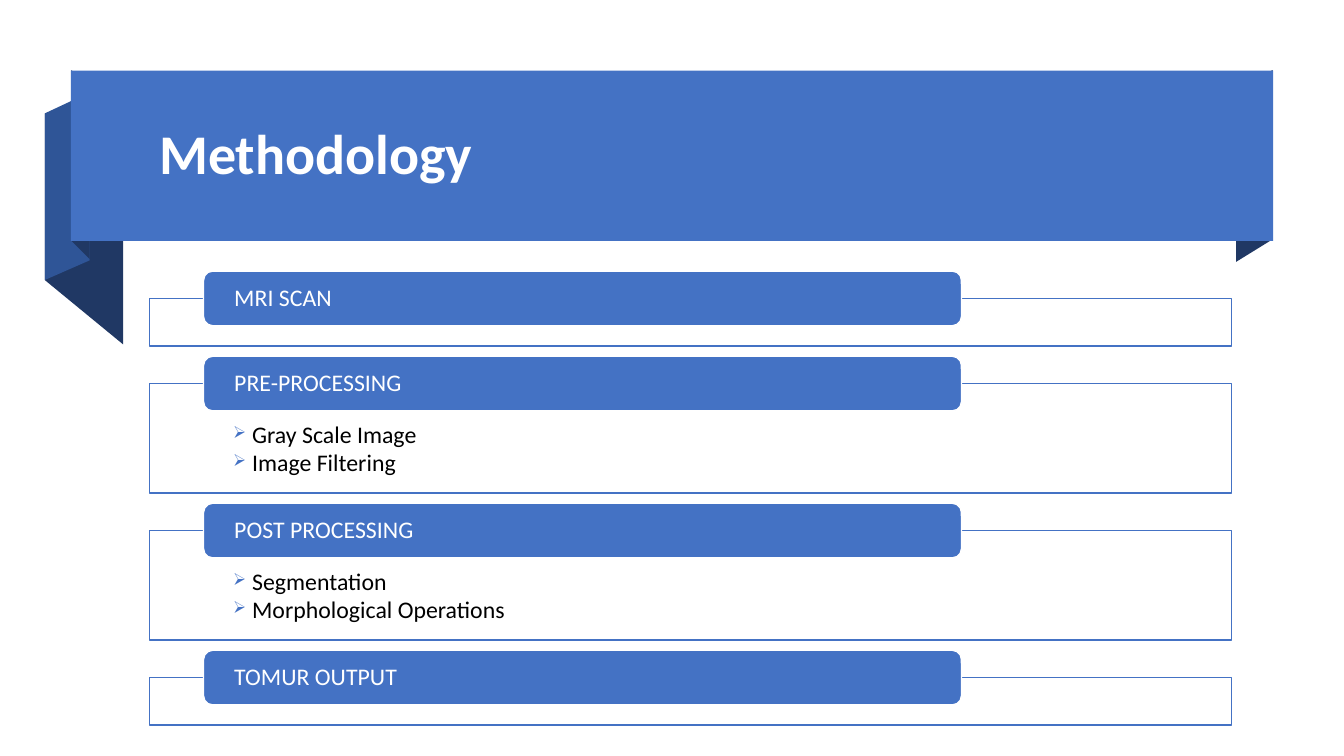
from lxml import etree
from pptx import Presentation
from pptx.dml.color import RGBColor
from pptx.enum.shapes import MSO_SHAPE
from pptx.enum.text import MSO_ANCHOR, PP_ALIGN
from pptx.oxml.ns import qn
from pptx.util import Pt

RECT, ROUNDED = MSO_SHAPE.RECTANGLE, MSO_SHAPE.ROUNDED_RECTANGLE
TOP, MIDDLE, LEFT = MSO_ANCHOR.TOP, MSO_ANCHOR.MIDDLE, PP_ALIGN.LEFT

BLUE = RGBColor(0x44, 0x72, 0xC4)
MID_BLUE = RGBColor(0x2F, 0x55, 0x97)
NAVY = RGBColor(0x20, 0x38, 0x64)
WHITE = RGBColor(0xFF, 0xFF, 0xFF)
BLACK = RGBColor(0, 0, 0)
FONT = "Calibri"

# Content
TITLE = "Methodology"
STEPS = [
    ("MRI SCAN", []),
    ("PRE-PROCESSING", ["Gray Scale Image", "Image Filtering"]),
    ("POST PROCESSING", ["Segmentation", "Morphological Operations"]),
    ("TOMUR OUTPUT", []),
]

# Ribbon folds: left x, left top, left bottom, right x, right top, right bottom
FOLDS = [
    (883.4, 65.5, 187.2, 909.4, 50.4, 171.4, NAVY),
    (32.4, 80.6, 200.3, 88.2, 126, 245.5, NAVY),
    (32.4, 80.6, 200.3, 64.2, 66.2, 185.8, MID_BLUE),
    (51.1, 50.4, 172.1, 64.2, 64.1, 185, NAVY),
]
BANNER = (50.7, 50.4, 858.7, 121.7)
TITLE_BOX = (106.6, 59.8, 787.7, 104.4)

# Step layout
PANEL_LEFT, PANEL_WIDTH, FIRST_PANEL_TOP = 106.6, 773.3, 213.2
EMPTY_HEIGHT, FILLED_HEIGHT, PANEL_GAP = 34, 78.2, 26.8
HEADER_LEFT, HEADER_WIDTH, HEADER_HEIGHT = 145.4, 541.4, 39
BULLET_INDENT = 13.5


def paint(shape, fill, line=None):
    shape.shadow.inherit = False
    shape.fill.solid()
    shape.fill.fore_color.rgb = fill
    if line is None:
        shape.line.fill.background()
    else:
        shape.line.color.rgb = line
        shape.line.width = Pt(1)


def add_box(slide, kind, box, fill, line=None):
    shape = slide.shapes.add_shape(kind, *map(Pt, box))
    paint(shape, fill, line)
    return shape


def write(shape, lines, size, color, anchor, insets, after=0, bold=False):
    frame = shape.text_frame
    frame.text = "\n".join(lines)
    frame.word_wrap = True
    frame.vertical_anchor = anchor
    (frame.margin_left, frame.margin_top,
     frame.margin_right, frame.margin_bottom) = map(Pt, insets)
    for paragraph in frame.paragraphs:
        paragraph.alignment = LEFT
        paragraph.line_spacing = 0.9
        paragraph.space_after = Pt(after)
        font = paragraph.runs[0].font
        font.name, font.size, font.bold = FONT, Pt(size), bold
        font.color.rgb = color


def add_bullet(paragraph):
    props = paragraph._p.get_or_add_pPr()
    props.set("marL", str(Pt(BULLET_INDENT)))
    props.set("indent", str(-Pt(BULLET_INDENT)))
    color = etree.SubElement(props, qn("a:buClr"))
    etree.SubElement(color, qn("a:srgbClr"), val=str(BLUE))
    etree.SubElement(props, qn("a:buSzPct"), val="70000")
    etree.SubElement(props, qn("a:buChar"), char="➢")


def add_ribbon(slide):
    for left, left_top, left_bottom, right, right_top, right_bottom, color in FOLDS:
        builder = slide.shapes.build_freeform(right, right_bottom, scale=Pt(1))
        builder.add_line_segments(
            [(left, left_bottom), (left, left_top), (right, right_top)], close=True)
        paint(builder.convert_to_shape(), color)
    add_box(slide, RECT, BANNER, BLUE)
    title = slide.shapes.add_textbox(*map(Pt, TITLE_BOX))
    write(title, [TITLE], 40, WHITE, MIDDLE, (7.2, 3.6, 7.2, 3.6), bold=True)


def add_step(slide, name, details, top, height):
    panel = add_box(slide, RECT, (PANEL_LEFT, top, PANEL_WIDTH, height), WHITE, BLUE)
    panel_color = panel.fill._xPr.find(qn("a:solidFill"))[0]
    etree.SubElement(panel_color, qn("a:alpha"), val="90000")
    if details:
        write(panel, details, 17, BLACK, TOP, (60, 28, 60, 9), after=2)
        for paragraph in panel.text_frame.paragraphs:
            add_bullet(paragraph)
    header_box = (HEADER_LEFT, top - HEADER_HEIGHT / 2, HEADER_WIDTH, HEADER_HEIGHT)
    header = add_box(slide, ROUNDED, header_box, BLUE, WHITE)
    write(header, [name], 17, WHITE, MIDDLE, (20, 0, 20, 0))


def main():
    deck = Presentation()
    deck.slide_width, deck.slide_height = Pt(960), Pt(540)
    slide = deck.slides.add_slide(deck.slide_layouts[6])
    add_ribbon(slide)

    # Steps stacked with an equal gap
    top = FIRST_PANEL_TOP
    for name, details in STEPS:
        height = FILLED_HEIGHT if details else EMPTY_HEIGHT
        add_step(slide, name, details, top, height)
        top += height + PANEL_GAP
    deck.save("out.pptx")


if __name__ == "__main__":
    main()
